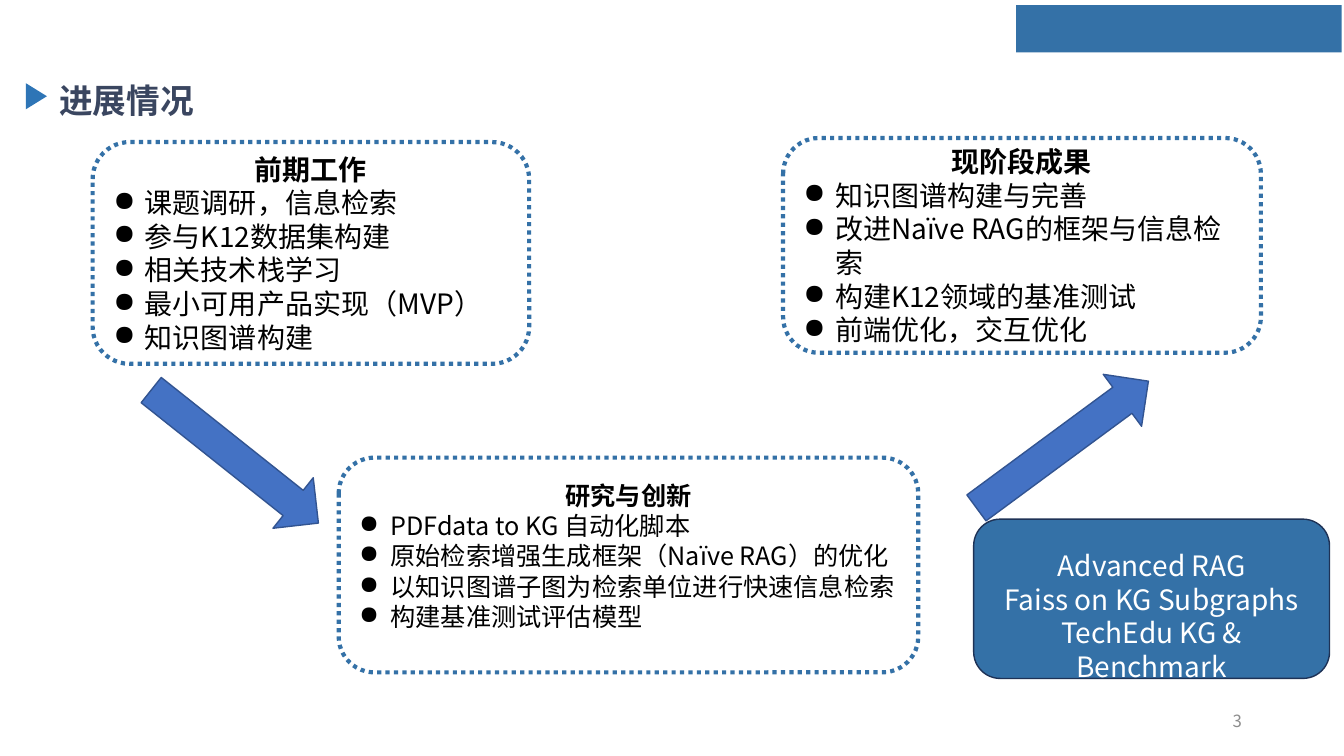
from lxml.etree import SubElement
from pptx import Presentation
from pptx.dml.color import RGBColor
from pptx.enum.dml import MSO_LINE
from pptx.enum.shapes import MSO_SHAPE
from pptx.enum.text import MSO_ANCHOR, PP_ALIGN
from pptx.oxml.ns import qn
from pptx.util import Pt

FONT = "Noto Sans CJK SC"
BLUE = RGBColor(0x34, 0x71, 0xA7)
MARKER_BLUE = RGBColor(0x2E, 0x75, 0xB6)
ARROW_BLUE = RGBColor(0x44, 0x72, 0xC4)
ARROW_EDGE = RGBColor(0x32, 0x54, 0x91)
NAVY = RGBColor(0x1E, 0x32, 0x56)
TITLE_INK = RGBColor(0x3A, 0x46, 0x60)
GRAY = RGBColor(0x8C, 0x8C, 0x8C)
BLACK = RGBColor(0, 0, 0)
WHITE = RGBColor(0xFF, 0xFF, 0xFF)

# Content: boxes are (left, top, width, height) in points
TITLE = "进展情况"
PAGE_NUMBER = "3"
STAGES = [
    {"heading": "前期工作", "box": (66.2, 101.5, 311.8, 158.4), "size": 20, "lift": 0,
     "items": ["课题调研，信息检索", "参与K12数据集构建", "相关技术栈学习",
               "最小可用产品实现（MVP）", "知识图谱构建"]},
    {"heading": "现阶段成果", "box": (559.4, 98.6, 341.3, 153.4), "size": 20, "lift": 0,
     "items": ["知识图谱构建与完善", "改进Naïve RAG的框架与信息检索",
               "构建K12领域的基准测试", "前端优化，交互优化"]},
    {"heading": "研究与创新", "box": (241.9, 326.9, 414, 153.4), "size": 18, "lift": 13,
     "items": ["PDFdata to KG 自动化脚本", "原始检索增强生成框架（Naïve RAG）的优化",
               "以知识图谱子图为检索单位进行快速信息检索", "构建基准测试评估模型"]},
]
METHODS = ["Advanced RAG", "Faiss on KG Subgraphs", "TechEdu KG & Benchmark"]
METHODS_BOX = (695.5, 370.8, 254.2, 113.8)
ARROWS = [((91.4, 303.1, 152.6, 46.1), 38.5), ((682.6, 294.5, 152.6, 46.1), 323.6)]
INDENT = Pt(22.5)

prs = Presentation()
prs.slide_width, prs.slide_height = Pt(960), Pt(540)
slide = prs.slides.add_slide(prs.slide_layouts[5])


def add_block(preset, box, fill, edge=None, weight=1):
    block = slide.shapes.add_shape(preset, *map(Pt, box))
    block.shadow.inherit = False
    block.fill.solid()
    block.fill.fore_color.rgb = fill
    if edge is None:
        block.line.fill.background()
    else:
        block.line.color.rgb = edge
        block.line.width = Pt(weight)
    return block


def set_frame(frame, **settings):
    for key, value in ({"word_wrap": True, "vertical_anchor": MSO_ANCHOR.MIDDLE} | settings).items():
        setattr(frame, key, value)


def write(paragraph, text, size, color, bold=False, align=PP_ALIGN.LEFT):
    paragraph.alignment = align
    run = paragraph.add_run()
    run.text = text
    for key, value in {"name": FONT, "size": Pt(size), "bold": bold}.items():
        setattr(run.font, key, value)
    run.font.color.rgb = color
    SubElement(run.font._element, qn("a:ea"), typeface=FONT)


def add_bullet(paragraph):
    properties = paragraph._p.get_or_add_pPr()
    properties.set("marL", str(INDENT))
    properties.set("indent", str(-INDENT))
    SubElement(properties, qn("a:buChar"), char="●")


def next_paragraph(frame, index):
    return frame.add_paragraph() if index else frame.paragraphs[0]


# Title with its marker, and the corner band
title = slide.shapes.title
title.left, title.top, title.width, title.height = map(Pt, (37.4, 54, 329, 34.6))
set_frame(title.text_frame, margin_left=Pt(5), margin_right=Pt(5), margin_top=Pt(3), margin_bottom=Pt(3))
write(title.text_frame.paragraphs[0], TITLE, 24, TITLE_INK, bold=True)
marker = add_block(MSO_SHAPE.ISOSCELES_TRIANGLE, (16.6, 61.2, 18.7, 15.1), MARKER_BLUE)
marker.rotation = 90
add_block(MSO_SHAPE.RECTANGLE, (725.8, 3.6, 232.6, 33.8), BLUE)

# Stage cards
for stage in STAGES:
    card = add_block(MSO_SHAPE.ROUNDED_RECTANGLE, stage["box"], WHITE, BLUE, 3)
    card.line.dash_style = MSO_LINE.ROUND_DOT
    frame = card.text_frame
    set_frame(frame, margin_bottom=Pt(3.6 + stage["lift"]))
    write(frame.paragraphs[0], stage["heading"], stage["size"], BLACK, bold=True, align=PP_ALIGN.CENTER)
    for item in stage["items"]:
        paragraph = frame.add_paragraph()
        add_bullet(paragraph)
        write(paragraph, item, stage["size"], BLACK)

# Methods callout
methods = add_block(MSO_SHAPE.ROUNDED_RECTANGLE, METHODS_BOX, BLUE, NAVY)
set_frame(methods.text_frame, margin_top=Pt(27.6))
for index, method in enumerate(METHODS):
    write(next_paragraph(methods.text_frame, index), method, 20, WHITE, align=PP_ALIGN.CENTER)

# Arrows between stages
for box, angle in ARROWS:
    arrow = add_block(MSO_SHAPE.RIGHT_ARROW, box, ARROW_BLUE, ARROW_EDGE)
    arrow.rotation = angle

# Page number
page = slide.shapes.add_textbox(*map(Pt, (678.2, 500.4, 216, 28.8)))
set_frame(page.text_frame)
write(page.text_frame.paragraphs[0], PAGE_NUMBER, 12, GRAY, align=PP_ALIGN.RIGHT)

prs.save("out.pptx")
